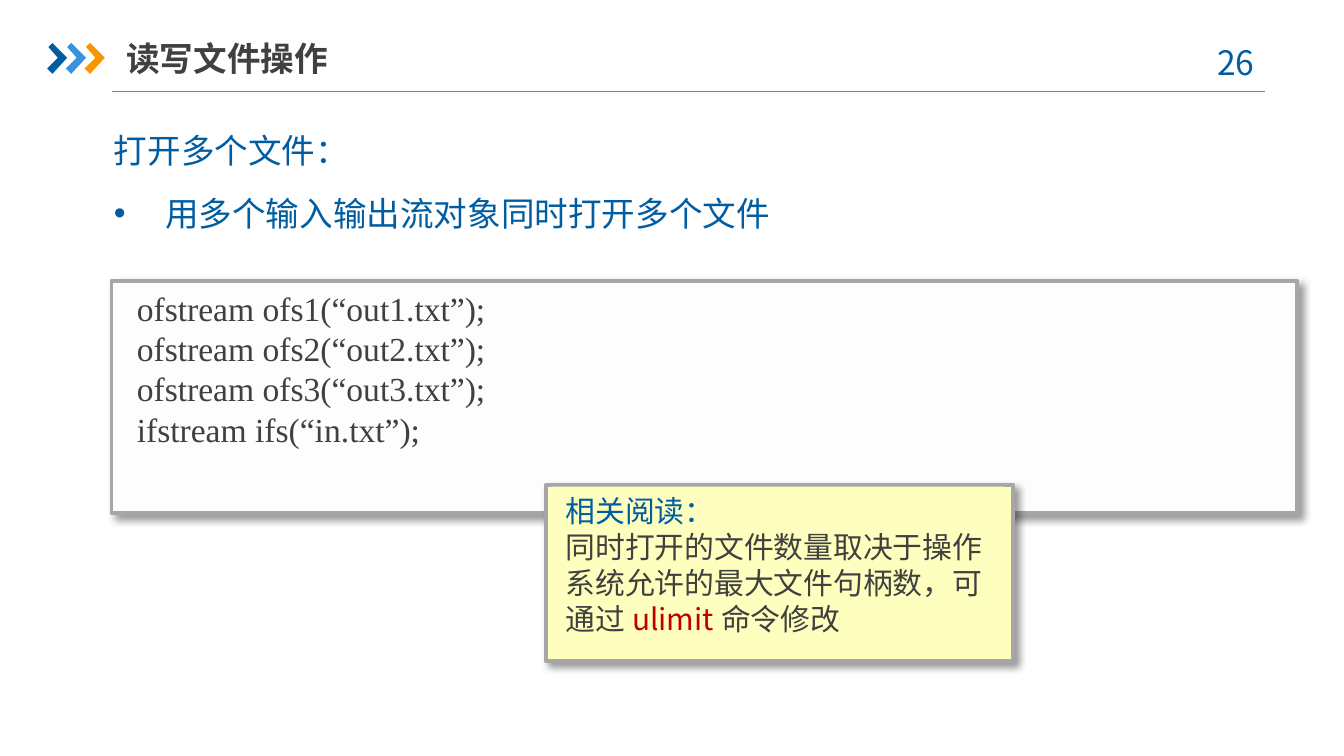
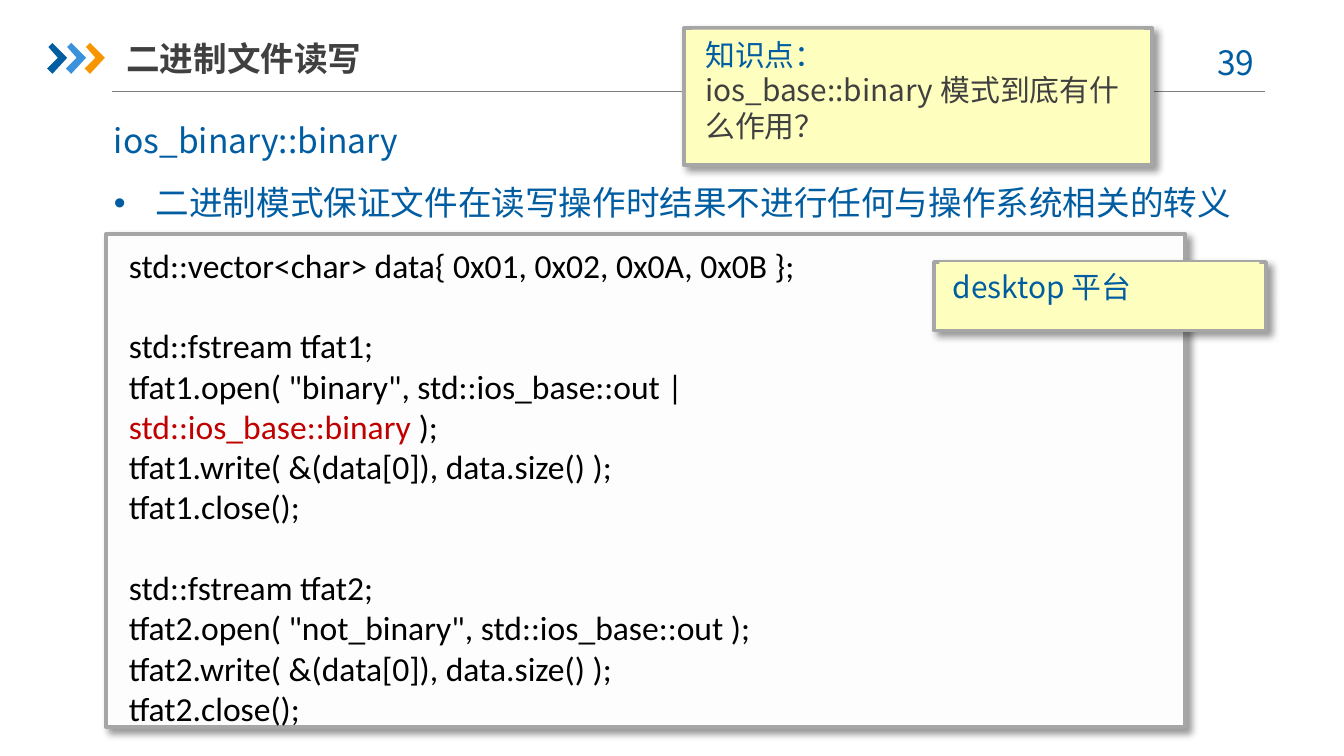
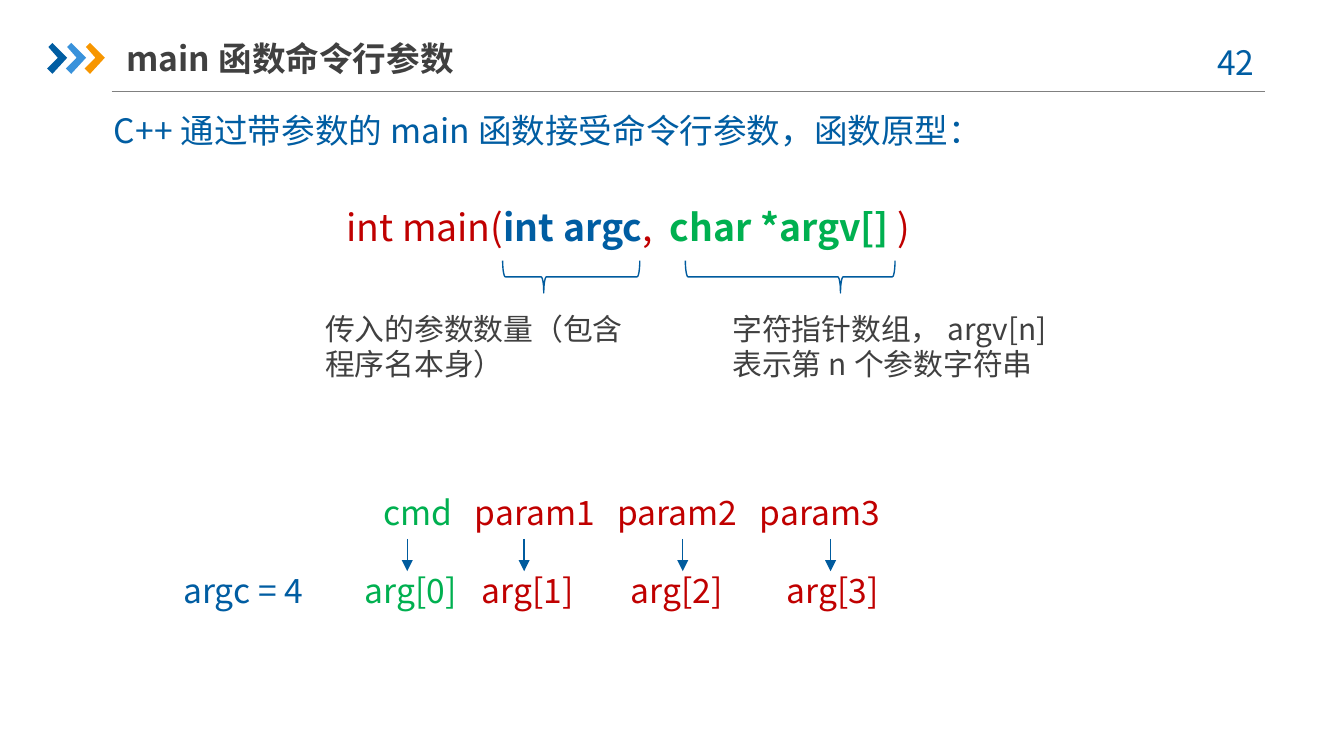
from dataclasses import dataclass
from typing import Optional

import lxml.etree
import pptx
import pptx.dml.color
import pptx.enum.shapes
import pptx.enum.text
import pptx.oxml.ns
import pptx.util

Inches = pptx.util.Inches
Pt = pptx.util.Pt
qn = pptx.oxml.ns.qn
Align = pptx.enum.text.PP_ALIGN
Preset = pptx.enum.shapes.MSO_SHAPE


@dataclass(frozen=True)
class Theme:
    blue: str = "005DA2"
    light_blue: str = "3992DB"
    orange: str = "F79600"
    red: str = "C00000"
    green: str = "00B050"
    dark: str = "404040"
    black: str = "000000"
    rule: str = "808080"
    border: str = "A6A6A6"
    stroke: str = "005B9E"
    code_fill: str = "FDFDFD"
    note_fill: str = "FEFFBE"
    sans: str = "Noto Sans CJK SC"
    serif: str = "Times New Roman"
    code: str = "Calibri"
    body_size: int = 18
    note_size: int = 16
    signature_size: int = 20
    hairline: float = 0.75
    border_width: float = 2


THEME = Theme()


@dataclass(frozen=True)
class Box:
    left: float
    top: float
    width: float
    height: float

    def emu(self) -> tuple:
        return tuple(Inches(v) for v in (self.left, self.top, self.width, self.height))


@dataclass(frozen=True)
class Span:
    text: str
    color: str = THEME.blue
    bold: bool = False
    breaks: bool = False


@dataclass(frozen=True)
class Para:
    spans: tuple
    align: Align = Align.LEFT
    bullet_indent: float = 0
    before: float = 0
    after: float = 12


@dataclass(frozen=True)
class Card:
    """A bordered frame with a borderless face of the same colour on it."""
    frame: Box
    face: Box
    fill: str


@dataclass(frozen=True)
class Argument:
    label: str
    label_left: float
    arrow_x: float
    color: str = THEME.red


@dataclass(frozen=True)
class Brace:
    box: Box
    tip: float
    meaning: str
    meaning_left: float


def rgb(color: str) -> pptx.dml.color.RGBColor:
    return pptx.dml.color.RGBColor.from_string(color)


def write(frame, paras: list, size: float = THEME.body_size, face: str = THEME.sans) -> None:
    for index, para in enumerate(paras):
        paragraph = frame.paragraphs[0] if index == 0 else frame.add_paragraph()
        paragraph.alignment = para.align
        paragraph.line_spacing = 1.0
        paragraph.space_before = Pt(para.before)
        paragraph.space_after = Pt(para.after)
        if para.bullet_indent:
            props = paragraph._p.get_or_add_pPr()
            props.set("marL", str(Inches(para.bullet_indent)))
            props.set("indent", str(-Inches(para.bullet_indent)))
            lxml.etree.SubElement(props, qn("a:buFont"), typeface="Arial")
            lxml.etree.SubElement(props, qn("a:buChar"), char="•")
        for span in para.spans:
            run = paragraph.add_run()
            run.text = span.text
            run.font.size = Pt(size)
            run.font.bold = span.bold
            run.font.color.rgb = rgb(span.color)
            run.font.name = face
            lxml.etree.SubElement(run._r.get_or_add_rPr(), qn("a:ea"), typeface=face)
            if span.breaks:
                paragraph.add_line_break()


def grow_with_text(frame) -> None:
    frame.word_wrap = True
    frame.auto_size = pptx.enum.text.MSO_AUTO_SIZE.SHAPE_TO_FIT_TEXT
    frame.vertical_anchor = pptx.enum.text.MSO_ANCHOR.TOP


def add_text(slide, box: Box, paras: list, size: float = THEME.body_size,
             face: str = THEME.sans) -> None:
    frame = slide.shapes.add_textbox(*box.emu()).text_frame
    grow_with_text(frame)
    write(frame, paras, size, face)


def add_rectangle(slide, box: Box, fill: str):
    rectangle = slide.shapes.add_shape(Preset.RECTANGLE, *box.emu())
    rectangle.shadow.inherit = False
    rectangle.fill.solid()
    rectangle.fill.fore_color.rgb = rgb(fill)
    rectangle.line.fill.background()
    return rectangle


def add_card(slide, card: Card, note: Optional[Para] = None) -> None:
    frame = add_rectangle(slide, card.frame, card.fill)
    frame.line.color.rgb = rgb(THEME.border)
    frame.line.width = Pt(THEME.border_width)
    effects = frame._element.spPr.find(qn("a:effectLst"))
    shadow = lxml.etree.SubElement(
        effects, qn("a:outerShdw"), blurRad=str(Pt(4)), dist=str(Pt(3)),
        dir="2700000", algn="tl", rotWithShape="0")
    tint = lxml.etree.SubElement(shadow, qn("a:srgbClr"), val=THEME.black)
    lxml.etree.SubElement(tint, qn("a:alpha"), val="40000")

    face = add_rectangle(slide, card.face, card.fill)
    if note:
        grow_with_text(face.text_frame)
        write(face.text_frame, [note], THEME.note_size)


def add_line(slide, start: tuple, end: tuple, color: str, arrow: bool = False) -> None:
    line = slide.shapes.add_connector(
        pptx.enum.shapes.MSO_CONNECTOR.STRAIGHT,
        *(Inches(v) for v in (*start, *end)))
    line.line.color.rgb = rgb(color)
    line.line.width = Pt(THEME.hairline)
    lxml.etree.SubElement(line._element.spPr, qn("a:effectLst"))
    if arrow:
        lxml.etree.SubElement(line.line._get_or_add_ln(), qn("a:tailEnd"), type="triangle")


def add_chevrons(slide) -> None:
    outline = [(0.01, 0.03), (0.04, 0), (0.15, 0.11), (0.04, 0.23), (0, 0.19), (0.08, 0.11)]
    for index, color in enumerate((THEME.blue, THEME.light_blue, THEME.orange)):
        left = 0.35 + 0.14 * index
        points = [(Inches(left + x), Inches(0.32 + y)) for x, y in outline]
        builder = slide.shapes.build_freeform(*points[0])
        builder.add_line_segments(points[1:], close=True)
        chevron = builder.convert_to_shape()
        chevron.shadow.inherit = False
        chevron.fill.solid()
        chevron.fill.fore_color.rgb = rgb(color)
        chevron.line.fill.background()


def start_slide(deck, heading: str, number: int):
    """Add a slide with the shared header: rule, chevrons, page number and title."""
    slide = deck.slides.add_slide(deck.slide_layouts[5])
    add_line(slide, (0.83, 0.68), (9.41, 0.68), THEME.rule)
    add_chevrons(slide)
    add_text(slide, Box(8.86, 0.26, 0.73, 0.4),
             [Para((Span(f"{number} "),), Align.CENTER, after=0)])

    title = slide.shapes.title
    title.left, title.top, title.width, title.height = Box(0.94, 0.22, 2.57, 0.42).emu()
    frame = title.text_frame
    frame.word_wrap = True
    frame.auto_size = pptx.enum.text.MSO_AUTO_SIZE.NONE
    frame.vertical_anchor = pptx.enum.text.MSO_ANCHOR.MIDDLE
    frame.margin_left = frame.margin_right = 0
    frame.margin_top = frame.margin_bottom = Inches(0.05)
    write(frame, [Para((Span(heading, THEME.dark, bold=True),), after=0)])
    return slide


def build_open_files(deck) -> None:
    slide = start_slide(deck, "读写文件操作", 26)
    add_text(slide, Box(0.75, 0.92, 8.74, 0.88), [
        Para((Span("打开多个文件："),), Align.JUSTIFY),
        Para((Span("用多个输入输出流对象同时打开多个文件"),), Align.JUSTIFY, bullet_indent=0.38),
    ])
    add_card(slide, Card(Box(0.83, 2.09, 8.82, 1.73), Box(0.96, 2.11, 8.56, 0.09),
                         THEME.code_fill))
    streams = [f"ofstream ofs{n}(“out{n}.txt”);" for n in (1, 2, 3)]
    streams.append("ifstream ifs(“in.txt”);")
    add_text(slide, Box(0.92, 2.09, 8.6, 1.31),
             [Para((Span(code, THEME.dark),), after=0) for code in streams],
             face=THEME.serif)
    add_card(slide,
             Card(Box(4.06, 3.61, 3.48, 1.31), Box(4.11, 3.62, 3.36, 1.18), THEME.note_fill),
             Para((Span("相关阅读：", breaks=True),
                   Span("同时打开的文件数量取决于操作系统允许的最大文件句柄数，可通过", THEME.dark),
                   Span("ulimit", THEME.red),
                   Span("命令修改", THEME.dark)), after=6))


def build_binary_mode(deck) -> None:
    slide = start_slide(deck, "二进制文件读写", 39)
    add_text(slide, Box(0.75, 0.84, 8.73, 0.88), [
        Para((Span("ios_binary::binary"),)),
        Para((Span("二进制模式保证文件在读写操作时结果不进行任何与操作系统相关的转义"),),
             bullet_indent=0.31),
    ])
    add_card(slide,
             Card(Box(5.09, 0.21, 3.48, 1.02), Box(5.15, 0.22, 3.36, 0.91), THEME.note_fill),
             Para((Span("知识点：", breaks=True),
                   Span("ios_base::binary模式到底有什么作用？", THEME.dark)), after=6))
    add_card(slide, Card(Box(0.79, 1.74, 8.03, 3.67), Box(0.91, 1.76, 7.79, 0.11),
                         THEME.code_fill))

    def code(text: str, *more: Span, before: float = 0) -> Para:
        return Para((Span(text, THEME.black), *more), before=before, after=0)

    def write_and_close(stream: str) -> list:
        return [code(f"{stream}.write( &(data[0]), data.size() );"),
                code(f"{stream}.close();")]

    block_gap = THEME.body_size * 1.2
    add_text(slide, Box(0.86, 1.77, 6.65, 3.43), [
        code("std::vector<char> data{ 0x01, 0x02, 0x0A, 0x0B };"),
        code("std::fstream tfat1;", before=block_gap),
        code('tfat1.open( "binary", std::ios_base::out | ',
             Span("std::ios_base::binary ", THEME.red), Span(");", THEME.black)),
        *write_and_close("tfat1"),
        code("std::fstream tfat2;", before=block_gap),
        code('tfat2.open( "not_binary", std::ios_base::out );'),
        *write_and_close("tfat2"),
    ], face=THEME.code)
    add_card(slide,
             Card(Box(6.95, 1.95, 2.47, 0.51), Box(6.99, 1.95, 2.38, 0.18), THEME.note_fill),
             Para((Span("desktop平台"),), after=6))


def add_brace(slide, brace: Brace) -> None:
    shape = slide.shapes.add_shape(Preset.LEFT_BRACE, *brace.box.emu())
    shape.rotation = 270
    shape.adjustments[0] = 0.083
    shape.adjustments[1] = brace.tip
    shape.shadow.inherit = False
    shape.fill.background()
    shape.line.color.rgb = rgb(THEME.stroke)
    shape.line.width = Pt(THEME.hairline)
    add_text(slide, Box(brace.meaning_left, 2.26, 2.61, 0.64),
             [Para((Span(brace.meaning, THEME.dark),))], THEME.note_size)


def build_main_arguments(deck) -> None:
    slide = start_slide(deck, "main函数命令行参数", 42)
    add_text(slide, Box(0.75, 0.77, 8.73, 0.4),
             [Para((Span("C++通过带参数的main函数接受命令行参数，函数原型："),))])
    add_text(slide, Box(2.48, 1.47, 5.12, 0.44), [Para((
        Span("int main(", THEME.red),
        Span("int argc", bold=True),
        Span(",  ", THEME.red),
        Span("char *argv[] ", THEME.green, bold=True),
        Span(")", THEME.red),
    ))], THEME.signature_size)
    for brace in (
        Brace(Box(4.13, 1.55, 0.24, 1.02), 0.3, "传入的参数数量（包含程序名本身）", 2.32),
        Brace(Box(5.76, 1.28, 0.24, 1.56), 0.74, "字符指针数组，argv[n]表示第n个参数字符串", 5.35),
    ):
        add_brace(slide, brace)

    add_text(slide, Box(2.2, 3.61, 5, 0.4), [Para(
        (Span("cmd  ", THEME.green), Span(" param1   param2   param3", THEME.red)),
        Align.CENTER)])
    label_top = 4.19
    for argument in (
        Argument("arg[0]", 2.48, 3.03, THEME.green),
        Argument("arg[1]", 3.35, 3.9),
        Argument("arg[2]", 4.46, 5.08),
        Argument("arg[3]", 5.62, 6.18),
    ):
        add_text(slide, Box(argument.label_left, label_top, 1.15, 0.4),
                 [Para((Span(argument.label, argument.color),), Align.CENTER)])
        add_line(slide, (argument.arrow_x, 4.01), (argument.arrow_x, 4.25),
                 THEME.stroke, arrow=True)
    add_text(slide, Box(1.06, label_top, 1.5, 0.4),
             [Para((Span("argc = 4"),), Align.CENTER)])


def main() -> None:
    deck = pptx.Presentation()
    deck.slide_width = Inches(10)
    deck.slide_height = Inches(10 * 9 / 16)
    build_open_files(deck)
    build_binary_mode(deck)
    build_main_arguments(deck)
    deck.save("out.pptx")


if __name__ == "__main__":
    main()
